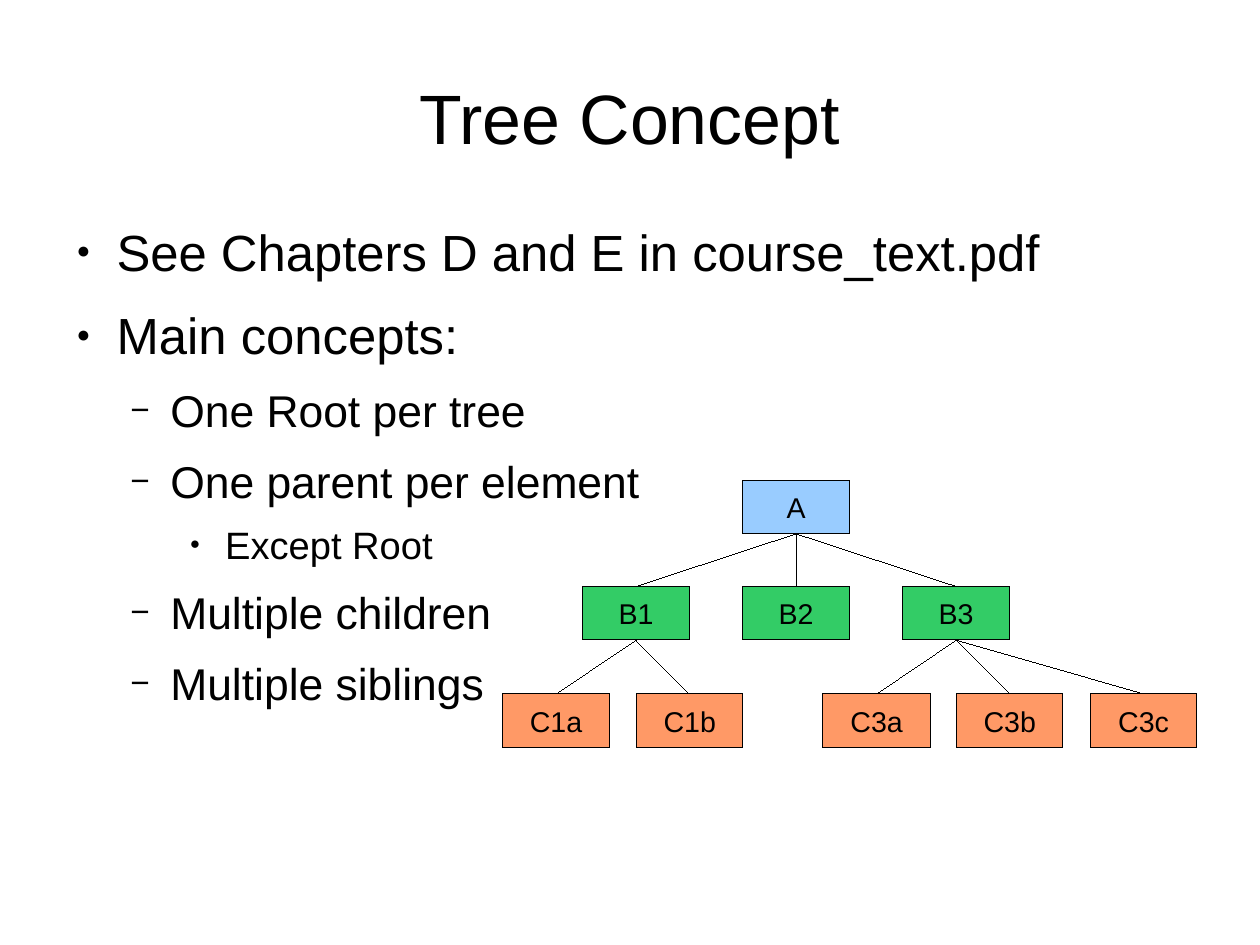
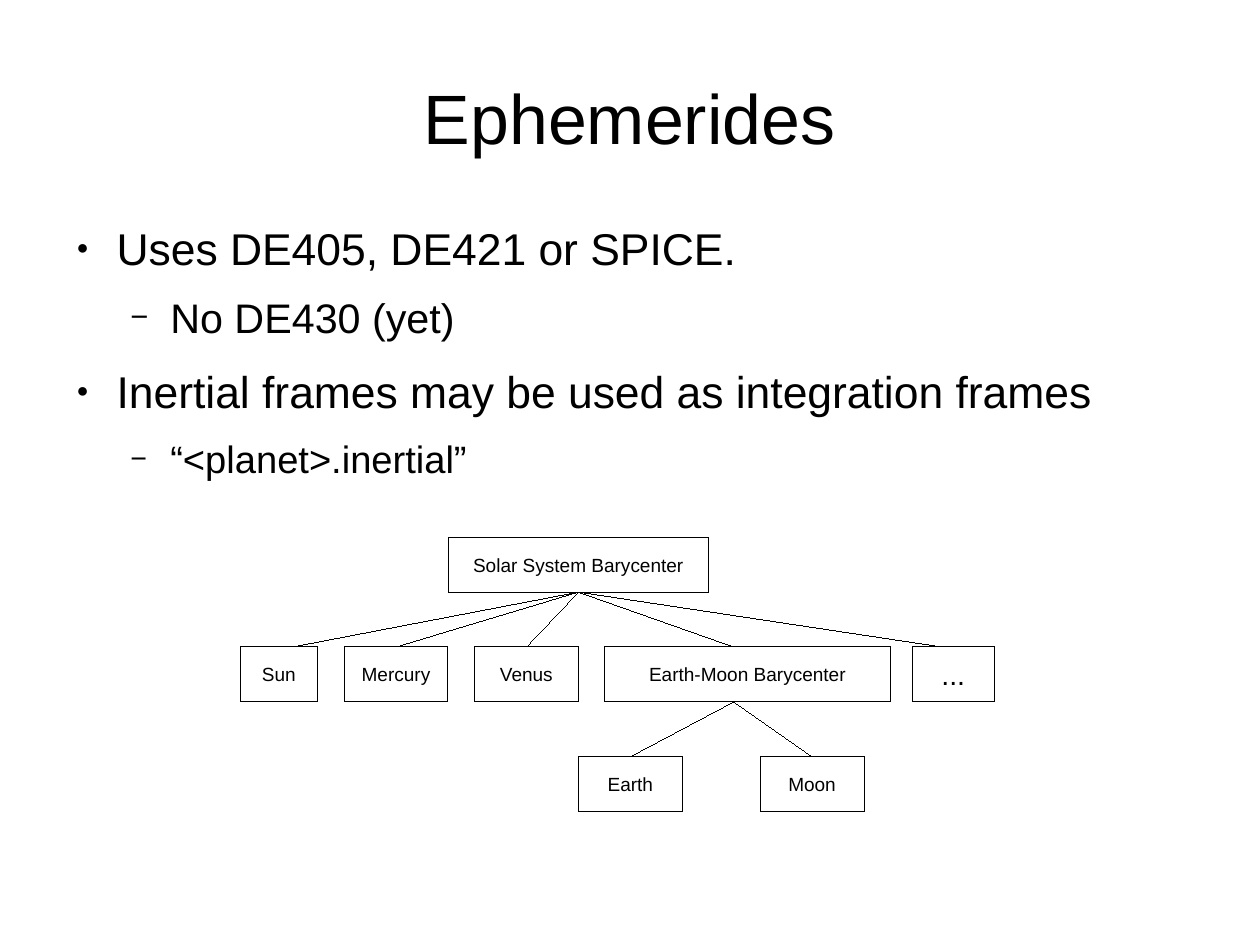
import pptx
import pptx.util
import pptx.dml.color
import pptx.enum.shapes
import pptx.enum.text
from dataclasses import dataclass
from lxml import etree
from pptx.util import Inches, Pt


# Content: bullets are (level, size, text);
# boxes are (label, left, width, parent, off-centre line end or None)
SLIDES = [
    dict(
        title="Tree Concept",
        bullets=[
            (0, 32, "See Chapters D and E in course_text.pdf"),
            (0, 32, "Main concepts:"),
            (1, 28, "One Root per tree"),
            (1, 28, "One parent per element"),
            (2, 24, "Except Root"),
            (1, 28, "Multiple children"),
            (1, 28, "Multiple siblings"),
        ],
        tops=(4.2, 5.13, 6.07), box_height=0.47, label_size=18,
        fills=("99CCFF", "33CC66", "FF9966"),
        rows=[
            [("A", 6.5, 0.93, None, None)],
            [("B1", 5.1, 0.93, "A", None),
             ("B2", 6.5, 0.93, "A", None),
             ("B3", 7.9, 0.93, "A", None)],
            [("C1a", 4.4, 0.93, "B1", None),
             ("C1b", 5.57, 0.93, "B1", None),
             ("C3a", 7.2, 0.94, "B3", None),
             ("C3b", 8.37, 0.93, "B3", None),
             ("C3c", 9.54, 0.93, "B3", None)],
        ],
    ),
    dict(
        title="Ephemerides",
        bullets=[
            (0, 28, "Uses DE405, DE421 or SPICE."),
            (1, 26, "No DE430 (yet)"),
            (0, 28, "Inertial frames may be used as integration frames"),
            (1, 24, "“<planet>.inertial”"),
        ],
        tops=(4.7, 5.66, 6.62), box_height=0.48, label_size=12,
        fills=(None, None, None),
        rows=[
            [("Solar System Barycenter", 3.92, 2.28, None, None)],
            [("Sun", 2.1, 0.68, "Solar System Barycenter", 2.56),
             ("Mercury", 3.01, 0.91, "Solar System Barycenter", None),
             ("Venus", 4.15, 0.91, "Solar System Barycenter", None),
             ("Earth-Moon Barycenter", 5.29, 2.5, "Solar System Barycenter", 6.42),
             ("...", 7.98, 0.72, "Solar System Barycenter", 8.24)],
            [("Earth", 5.06, 0.91, "Earth-Moon Barycenter", None),
             ("Moon", 6.65, 0.91, "Earth-Moon Barycenter", None)],
        ],
    ),
]


@dataclass(frozen=True)
class Theme:
    font: str = "Arial"
    ink: str = "000000"
    hairline: float = 0.01
    title_size: float = 44
    ellipsis_size: float = 18
    left: float = 0.55
    width: float = 9.92
    # Per level: left margin, hanging indent, space before, bullet, bullet %
    levels: tuple = (
        (0.47, 0.35, 14.2, "●", 45),
        (0.94, 0.35, 11.3, "−", 75),
        (1.42, 0.31, 8.5, "●", 45),
    )


THEME = Theme()


def rgb(code):
    return pptx.dml.color.RGBColor.from_string(code)


def set_font(paragraph, size):
    paragraph.font.name = THEME.font
    paragraph.font.size = Pt(size)
    paragraph.font.color.rgb = rgb(THEME.ink)


def set_line(line):
    line.color.rgb = rgb(THEME.ink)
    line.width = Pt(THEME.hairline)


def add_child(parent, tag, **attributes):
    return etree.SubElement(parent, pptx.oxml.ns.qn(tag), attributes)


def add_text_area(slide, top, height, anchor):
    area = slide.shapes.add_textbox(
        Inches(THEME.left), Inches(top), Inches(THEME.width), Inches(height))
    frame = area.text_frame
    frame.word_wrap = True
    frame.vertical_anchor = anchor
    frame.margin_left = frame.margin_right = 0
    frame.margin_top = frame.margin_bottom = 0
    return frame


def add_title(slide, title):
    frame = add_text_area(slide, 0.33, 1.38, pptx.enum.text.MSO_ANCHOR.MIDDLE)
    heading = frame.paragraphs[0]
    heading.text = title
    heading.alignment = pptx.enum.text.PP_ALIGN.CENTER
    set_font(heading, THEME.title_size)


def add_bullets(slide, bullets):
    frame = add_text_area(slide, 1.93, 4.79, pptx.enum.text.MSO_ANCHOR.TOP)
    for index, (level, size, text) in enumerate(bullets):
        point = frame.add_paragraph() if index else frame.paragraphs[0]
        margin, hanging, before, mark, percent = THEME.levels[level]
        point.text = text
        point.level = level
        point.space_before = Pt(before)
        set_font(point, size)
        # Bullet settings come before the default run font
        properties = point._p.get_or_add_pPr()
        properties.set("marL", str(Inches(margin)))
        properties.set("indent", str(-Inches(hanging)))
        run_font = properties.find(pptx.oxml.ns.qn("a:defRPr"))
        color = add_child(properties, "a:buClr")
        add_child(color, "a:srgbClr", val=THEME.ink)
        add_child(properties, "a:buSzPct", val=str(percent * 1000))
        add_child(properties, "a:buFont", typeface=THEME.font)
        add_child(properties, "a:buChar", char=mark)
        properties.append(run_font)


def add_box(slide, label, left, top, width, height, fill, size):
    box = slide.shapes.add_shape(
        pptx.enum.shapes.MSO_SHAPE.RECTANGLE,
        Inches(left), Inches(top), Inches(width), Inches(height))
    box.shadow.inherit = False
    if fill:
        box.fill.solid()
        box.fill.fore_color.rgb = rgb(fill)
    else:
        box.fill.background()
    set_line(box.line)
    frame = box.text_frame
    frame.word_wrap = True
    frame.vertical_anchor = pptx.enum.text.MSO_ANCHOR.MIDDLE
    caption = frame.paragraphs[0]
    caption.text = label
    caption.alignment = pptx.enum.text.PP_ALIGN.CENTER
    set_font(caption, size)


def add_branch(slide, start, end):
    branch = slide.shapes.add_connector(
        pptx.enum.shapes.MSO_CONNECTOR.STRAIGHT,
        *(Inches(value) for value in start + end))
    set_line(branch.line)
    add_child(branch._element.spPr, "a:effectLst")


def add_tree(slide, content):
    height = content["box_height"]
    exits = {}  # bottom point of each box, where its branches begin
    for top, fill, row in zip(content["tops"], content["fills"], content["rows"]):
        for label, left, width, parent, line_end in row:
            size = THEME.ellipsis_size if label == "..." else content["label_size"]
            add_box(slide, label, left, top, width, height, fill, size)
            middle = line_end or left + width / 2
            exits[label] = (middle, top + height)
            if parent:
                add_branch(slide, exits[parent], (middle, top))


# Build the slides on a 28 by 21 cm page
deck = pptx.Presentation()
deck.slide_width = pptx.util.Cm(28)
deck.slide_height = pptx.util.Cm(21)
for content in SLIDES:
    slide = deck.slides.add_slide(deck.slide_layouts[6])
    add_title(slide, content["title"])
    add_bullets(slide, content["bullets"])
    add_tree(slide, content)
deck.save("out.pptx")
